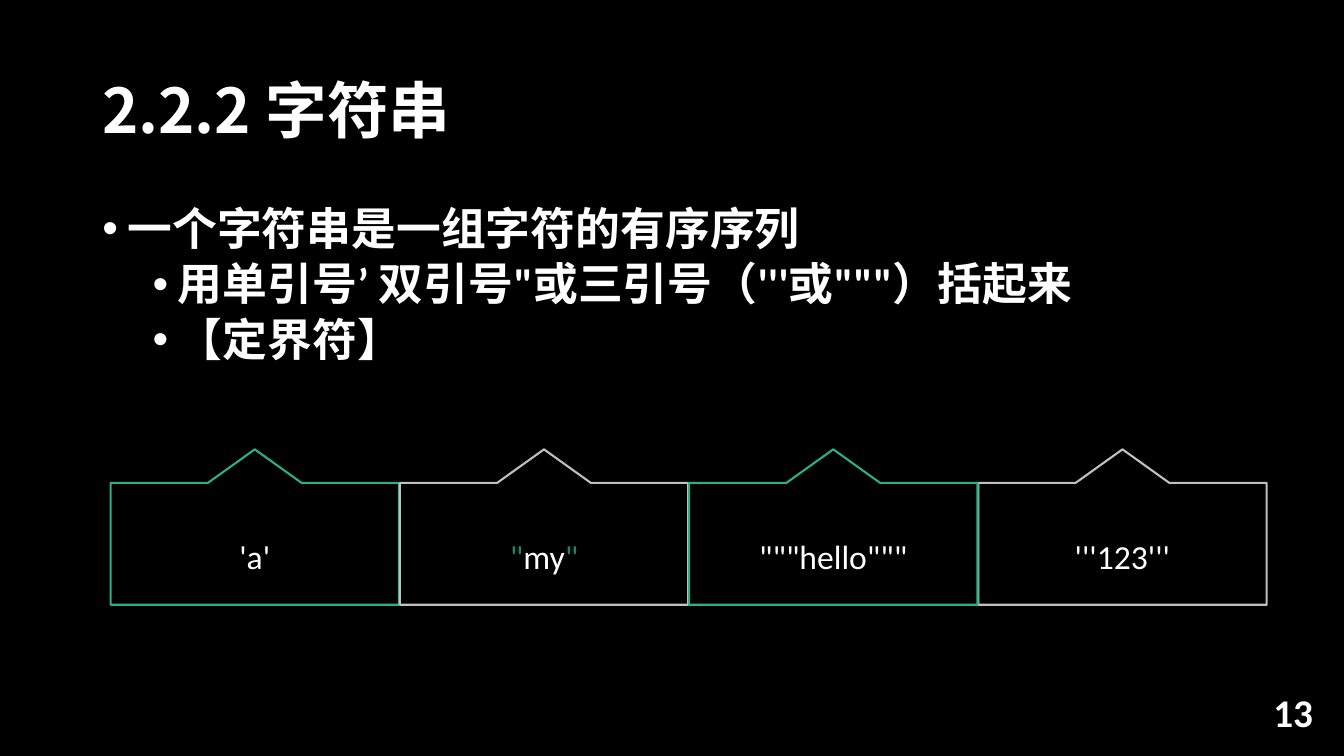
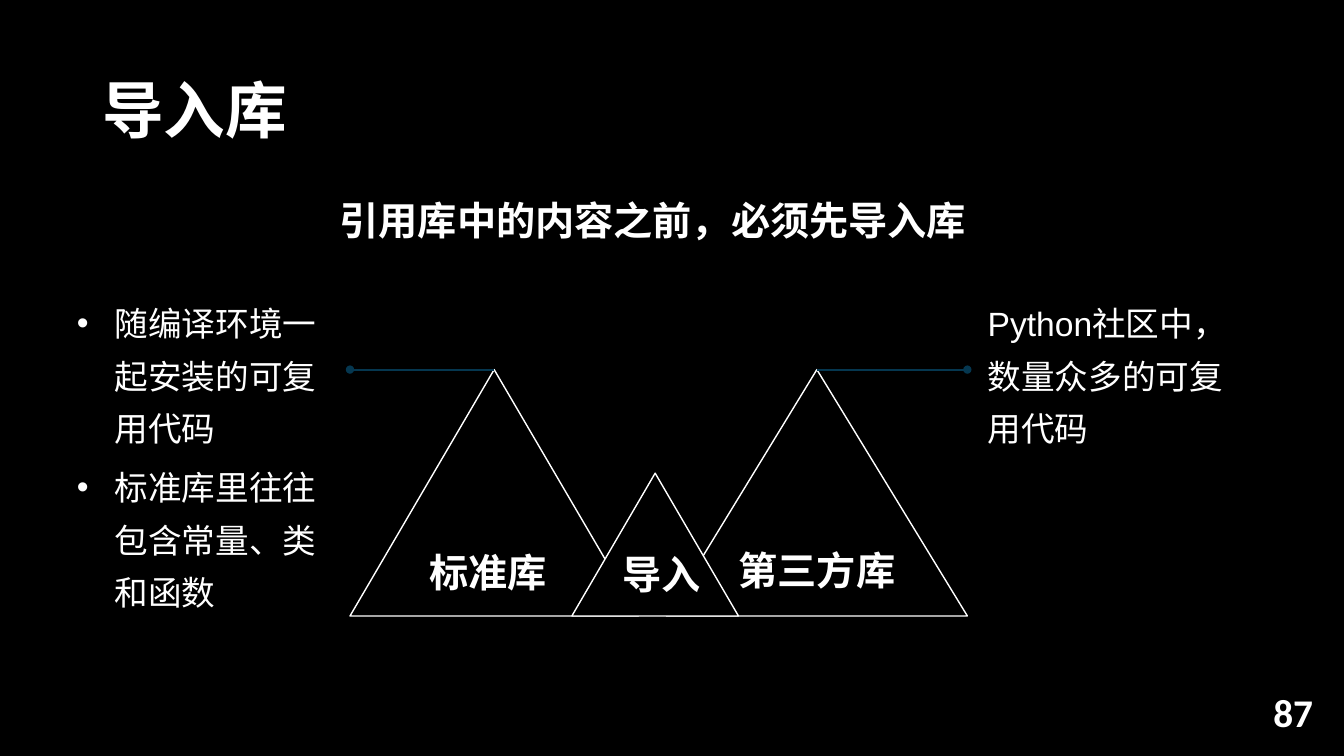
import pptx
import pptx.util
import pptx.dml.color
import pptx.enum.shapes
import pptx.enum.text
import lxml.etree

Pt = pptx.util.Pt
ALIGN = pptx.enum.text.PP_ALIGN
ANCHOR = pptx.enum.text.MSO_ANCHOR
SHAPE = pptx.enum.shapes.MSO_SHAPE

BLACK, WHITE = "000000", "FFFFFF"
GREEN, DARK_GREEN, GREY, NAVY = "29AF8C", "1F8369", "C0C0C0", "053750"
CJK, LATIN, SANS = "Noto Sans CJK SC", "Calibri", "Arial"

STRING_POINTS = [
    ("一个字符串是一组字符的有序序列", 0),
    ("用单引号’ 双引号\"或三引号（'''或\"\"\"）括起来", 1),
    ("【定界符】", 1),
]
# slot, outline, runs; the third callout lies on top of the fourth
CALLOUTS = [
    (0, GREEN, [("'a'", WHITE)]),
    (1, GREY, [('"', DARK_GREEN), ("my", WHITE), ('"', DARK_GREEN)]),
    (3, GREY, [("'''123'''", WHITE)]),
    (2, GREEN, [('"""hello"""', WHITE)]),
]
IMPORT_RULE = "引用库中的内容之前，必须先导入库"
STANDARD_NOTES = ["随编译环境一起安装的可复用代码", "标准库里往往包含常量、类和函数"]
COMMUNITY_NOTE = "Python社区中，数量众多的可复用代码"
# triangle box, label box, label, font, x where the leader ends
LIBRARIES = [
    ((250, 264, 206, 176), (284, 388, 129, 41), "标准库", CJK, 250),
    ((476, 264, 215, 176), (510, 387, 147, 41), "第三方库", CJK, 691),
    ((408.5, 338, 119, 102), (437, 389.5, 71, 41), "导入", SANS, None),
]


def rgb(value):
    return pptx.dml.color.RGBColor.from_string(value)


def sub(parent, tag, **attrs):
    ns = "{http://schemas.openxmlformats.org/drawingml/2006/main}"
    return lxml.etree.SubElement(parent, ns + tag, **attrs)


def add_run(p, text, font, size, color=WHITE, bold=False):
    r = p.add_run()
    r.text = text
    r.font.size, r.font.bold, r.font.name = Pt(size), bold, font
    r.font.color.rgb = rgb(color)
    sub(r.font._element, "ea", typeface=font)


def add_bullet(p, left, hang):
    pPr = p._p.get_or_add_pPr()
    pPr.set("marL", str(Pt(left)))
    pPr.set("indent", str(-Pt(hang)))
    sub(pPr, "buFont", typeface=SANS)
    sub(pPr, "buChar", char="•")


def add_text(s, box, paragraphs, font, size, bold=False, align=ALIGN.LEFT,
             anchor=ANCHOR.TOP, spacing=1.0, before=0, inset=True, bullets=None):
    """Text box; bullets holds one (left, hang) pair per paragraph."""
    tf = s.shapes.add_textbox(*map(Pt, box)).text_frame
    tf.word_wrap, tf.vertical_anchor = True, anchor
    if not inset:
        tf.margin_left = tf.margin_top = tf.margin_right = tf.margin_bottom = 0
    for i, text in enumerate(paragraphs):
        p = tf.add_paragraph() if i else tf.paragraphs[0]
        p.alignment, p.line_spacing = align, spacing
        if i and before:
            p.space_before = Pt(before)
        if bullets:
            add_bullet(p, *bullets[i])
        add_run(p, text, font, size, bold=bold)


def add_slide(prs, title, number):
    s = prs.slides.add_slide(prs.slide_layouts[6])
    s.background.fill.solid()
    s.background.fill.fore_color.rgb = rgb(BLACK)
    add_text(s, (66, 29, 828, 104), [title], CJK, 44, True,
             anchor=ANCHOR.MIDDLE, spacing=0.9)
    add_text(s, (729, 494, 216, 29), [number], LATIN, 28, True,
             ALIGN.RIGHT, ANCHOR.MIDDLE)
    return s


def outline(sp, color, width):
    sp.shadow.inherit = False
    sp.line.color.rgb = rgb(color)
    sp.line.width = Pt(width)


def add_callout(s, slot, color, runs):
    left, top, width, height = 79 + 206.6 * slot, 321, 206, 111
    right, bottom, shoulder = left + width, top + height, top + 24
    middle, half_peak = left + width / 2, 33.5
    builder = s.shapes.build_freeform(Pt(middle), Pt(top))
    corners = [(middle + half_peak, shoulder), (right, shoulder), (right, bottom),
               (left, bottom), (left, shoulder), (middle - half_peak, shoulder)]
    builder.add_line_segments([(Pt(x), Pt(y)) for x, y in corners], close=True)
    sp = builder.convert_to_shape()
    sp.fill.background()
    outline(sp, color, 1.5)
    tf = sp.text_frame
    tf.word_wrap, tf.vertical_anchor = True, ANCHOR.MIDDLE
    tf.margin_left = tf.margin_right = tf.margin_bottom = 0
    tf.margin_top = Pt(36)
    p = tf.paragraphs[0]
    p.alignment, p.line_spacing = ALIGN.CENTER, 1.2
    for text, run_color in runs:
        add_run(p, text, LATIN, 24, run_color)


def add_library(s, box, label_box, label, font, leader_end):
    sp = s.shapes.add_shape(SHAPE.ISOSCELES_TRIANGLE, *map(Pt, box))
    sp.fill.solid()
    sp.fill.fore_color.rgb = rgb(BLACK)
    outline(sp, WHITE, 1)
    add_text(s, label_box, [label], font, 28, True, ALIGN.CENTER)
    if leader_end is None:
        return
    apex_x, apex_y = box[0] + box[2] / 2, box[1]
    line = s.shapes.add_connector(pptx.enum.shapes.MSO_CONNECTOR.STRAIGHT,
                                  Pt(apex_x), Pt(apex_y), Pt(leader_end), Pt(apex_y))
    line.begin_connect(sp, 0)
    line.line.color.rgb = rgb(NAVY)
    line.line.width = Pt(1.5)
    sub(line.line._get_or_add_ln(), "tailEnd", type="oval")
    sub(line._element.spPr, "effectLst")


def build_string_slide(prs):
    s = add_slide(prs, "2.2.2 字符串", "13")
    add_text(s, (66, 144, 828, 343), [text for text, _ in STRING_POINTS], LATIN, 32,
             True, spacing=0.9, before=5,
             bullets=[(18 + 36 * level, 18) for _, level in STRING_POINTS])
    for callout in CALLOUTS:
        add_callout(s, *callout)


def build_import_slide(prs):
    s = add_slide(prs, "导入库", "87")
    add_text(s, (235.5, 120, 464, 52), [IMPORT_RULE], SANS, 28, True, spacing=1.5)
    notes = dict(font=SANS, size=24, spacing=1.3, before=4.8, inset=False)
    add_text(s, (55, 208, 192, 233), STANDARD_NOTES,
             bullets=[(27, 27)] * len(STANDARD_NOTES), **notes)
    add_text(s, (705.5, 208, 190, 114), [COMMUNITY_NOTE], **notes)
    for library in LIBRARIES:
        add_library(s, *library)


def main():
    prs = pptx.Presentation()
    prs.slide_width, prs.slide_height = Pt(960), Pt(540)
    build_string_slide(prs)
    build_import_slide(prs)
    prs.save("out.pptx")


if __name__ == "__main__":
    main()
